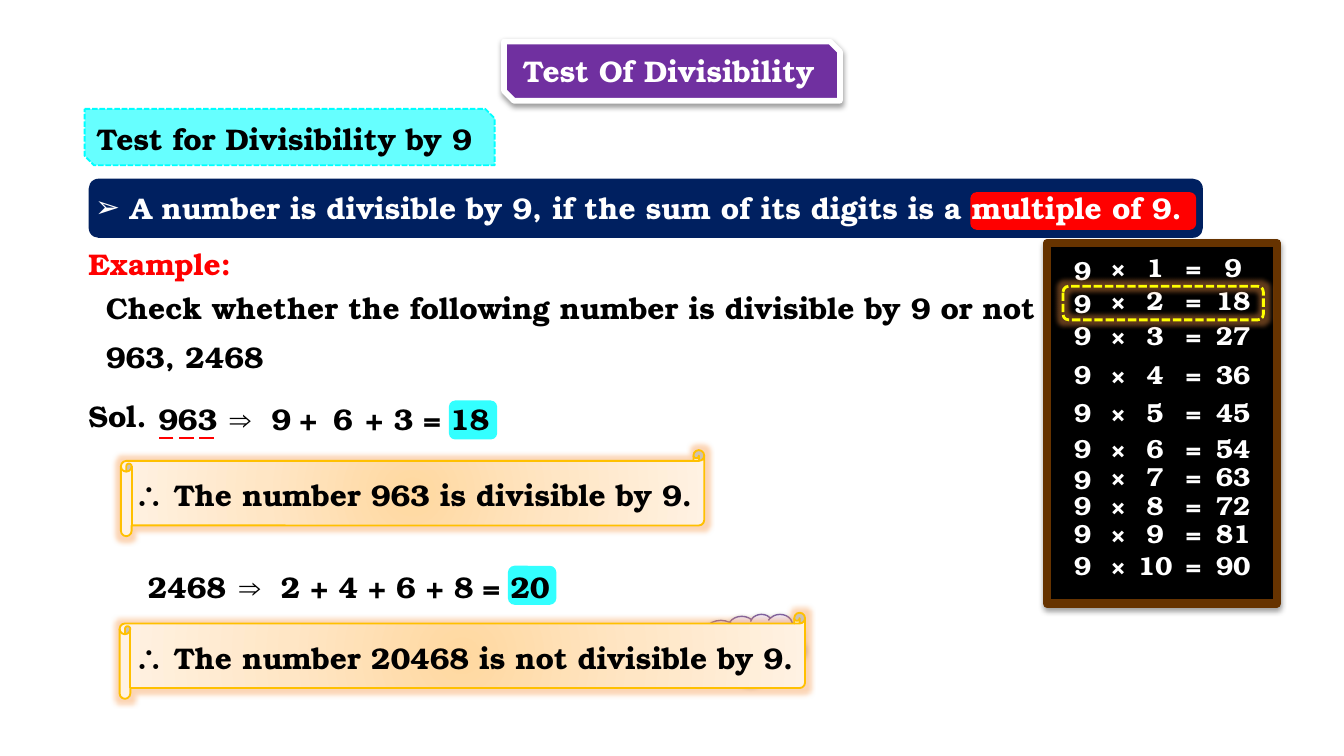
from lxml.etree import SubElement
from pptx import Presentation
from pptx.dml.color import RGBColor as RGB
from pptx.enum.dml import MSO_LINE as Dash
from pptx.enum.shapes import MSO_CONNECTOR as Conn, MSO_SHAPE as Shape
from pptx.enum.text import MSO_ANCHOR as Anchor, MSO_AUTO_SIZE as Fit, PP_ALIGN as Align
from pptx.oxml import parse_xml
from pptx.oxml.ns import nsdecls, qn
from pptx.util import Inches, Pt

CELL = 0.1
COLS, ROWS = 100, 56.25
FONT = "TeX Gyre Bonum"
C = {
    "black": "000000", "white": "FFFFFF", "red": "FF0000", "navy": "002060",
    "purple": "7030A0", "cyan": "66FFFF", "cyan_line": "00FFFF", "mark": "33FFFF",
    "gold": "FFC000", "yellow": "FFFF00", "wood": "663300", "glow": "F79646",
    "cloud_line": "7D60A0",
}
SCROLL_STOPS = [(0, "FFD8A0"), (50, "FFE6C5"), (100, "FFF2E3")]
CLOUD_STOPS = [(0, "C9B5E8"), (35, "D8CBEE"), (100, "F0EAF9")]
RADIAL = '<a:path path="circle"><a:fillToRect l="50000" t="50000" r="50000" b="50000"/></a:path>'
UPWARD = '<a:lin ang="16200000" scaled="0"/>'


def grid(*cells):
    return [Inches(n * CELL) for n in cells]


def add_effect(sp, tag, color, alpha, **attrs):
    fx = sp.element.spPr.find(qn("a:effectLst"))
    el = SubElement(fx, qn(tag), {k: str(v) for k, v in attrs.items()})
    clr = SubElement(el, qn("a:srgbClr"), val=C[color])
    SubElement(clr, qn("a:alpha"), val=str(alpha * 1000))


def add_glow(sp):
    add_effect(sp, "a:glow", "glow", 40, rad=Pt(5))


def add_shadow(sp):
    add_effect(sp, "a:outerShdw", "black", 38, blurRad=Pt(3.1), dist=Pt(1.6),
               dir=5400000, rotWithShape=0)


def add_box(s, kind, box, fill=None, line=None, width=1, dash=None):
    sp = s.shapes.add_shape(kind, *grid(*box))
    if fill:
        sp.fill.solid()
        sp.fill.fore_color.rgb = RGB.from_string(C[fill])
    else:
        sp.fill.background()
    if line:
        sp.line.color.rgb = RGB.from_string(C[line])
        sp.line.width = Pt(width)
        if dash:
            sp.line.dash_style = dash
    else:
        sp.line.fill.background()
    sp.shadow.inherit = False
    return sp


def set_gradient(sp, stops, direction):
    gs = "".join(f'<a:gs pos="{pos * 1000}"><a:srgbClr val="{c}"/></a:gs>' for pos, c in stops)
    xml = f'<a:gradFill {nsdecls("a")} rotWithShape="1"><a:gsLst>{gs}</a:gsLst>{direction}</a:gradFill>'
    spPr = sp.element.spPr
    spPr.replace(spPr.find(qn("a:noFill")), parse_xml(xml))


def set_text(sp, text, color, size=16, font=FONT, align=Align.LEFT, wrap=True):
    tf = sp.text_frame
    tf.text = text
    tf.word_wrap = wrap
    tf.auto_size = Fit.SHAPE_TO_FIT_TEXT
    tf.vertical_anchor = Anchor.TOP
    p = tf.paragraphs[0]
    p.alignment = align
    f = p.runs[0].font
    f.name, f.size, f.bold = font, Pt(size), True
    f.color.rgb = RGB.from_string(C[color])


def add_text(s, x, y, w, text, color="black", h=3.7, **style):
    sp = s.shapes.add_textbox(*grid(x, y, w, h))
    set_text(sp, text, color, **style)
    return sp


def add_equation(s, y, tokens):
    for x, w, text in tokens:
        add_text(s, x, y, w, text, wrap=False, font="Arial" if text == "⇒" else FONT)


def add_mark(s, x, y):
    add_box(s, Shape.ROUNDED_RECTANGLE, (x, y, 3.6, 2.9), "mark")


def add_scroll(s, x, y, w, text):
    sp = add_box(s, Shape.HORIZONTAL_SCROLL, (x, y, w, 6.4), line="gold")
    set_gradient(sp, SCROLL_STOPS, RADIAL)
    add_glow(sp)
    add_text(s, 9, y + 1.5, w + 1, text)


def add_cloud(s):
    sp = add_box(s, Shape.CLOUD_CALLOUT, (51.6, 45.7, 8.3, 5.1), line="cloud_line", width=0.75)
    sp.adjustments[0], sp.adjustments[1] = -0.36, -0.22
    set_gradient(sp, CLOUD_STOPS, UPWARD)
    add_shadow(sp)


def add_underlines(s):
    for i in range(3):
        x = 11.8 + 1.5 * i
        ln = s.shapes.add_connector(Conn.STRAIGHT, *grid(x + 1.1, 32.6, x, 32.6))
        ln.line.color.rgb = RGB.from_string(C["red"])
        ln.line.width = Pt(0.75)
        SubElement(ln.element.spPr, qn("a:effectLst"))


def add_times_table(s):
    board = add_box(s, Shape.ROUNDED_RECTANGLE, (77.9, 18.1, 17.1, 26.8), "black", "wood", 4.5)
    board.adjustments[0] = 0
    add_shadow(board)
    tops = [18.2, 20.7, 23.3, 26.2, 29, 31.7, 33.8, 35.9, 38, 40.4]
    lowered = (1, 2, 7)
    for n, y in enumerate(tops, 1):
        cells = [(77.9, 5.3, "9"), (81.1, 4.2, "×"), (82.8, 6.3, str(n)),
                 (87.2, 3.2, "="), (88.5, 6.5, str(9 * n))]
        for i, (x, w, text) in enumerate(cells):
            dy = 0.2 if i == 0 and n in lowered else 0
            add_text(s, x, y + dy, w, text, "white", h=3.4, size=14,
                     align=Align.CENTER, wrap=text != "=")
    add_glow(add_box(s, Shape.ROUNDED_RECTANGLE, (79.1, 21.3, 14.9, 2.5),
                     line="yellow", width=1.5, dash=Dash.SQUARE_DOT))


def add_title(s):
    add_shadow(add_box(s, Shape.SNIP_2_DIAG_RECTANGLE, (37.5, 3.1, 25, 4.4), "purple", "white", 3))
    title = s.shapes.title
    title.left, title.top, title.width, title.height = grid(37.9, 3.4, 24.5, 3.7)
    set_text(title, "Test Of Divisibility", "white")
    title.element.getparent().append(title.element)


def add_rule(s):
    add_box(s, Shape.ROUNDED_RECTANGLE, (6.6, 13.3, 82.9, 4.4), "navy")
    add_box(s, Shape.ROUNDED_RECTANGLE, (72.2, 14.3, 16.8, 2.8), "red")
    sp = add_text(s, 6.1, 13.6, 84.7,
                  " A number is divisible by 9, if the sum of its digits is a multiple of 9.", "white")
    pPr = sp.element.find(".//" + qn("a:pPr"))
    SubElement(pPr, qn("a:buFont"), typeface="Arial")
    SubElement(pPr, qn("a:buChar"), char="➢")


def main():
    prs = Presentation()
    prs.slide_width, prs.slide_height = grid(COLS, ROWS)
    s = prs.slides.add_slide(prs.slide_layouts[5])

    add_mark(s, 37.8, 42.1)
    add_equation(s, 41.8, [(10, 8, "2468"), (16.8, 4.2, "⇒"), (19.9, 16.7, "2 + 4 + 6 + 8"),
                           (34.9, 7.1, "= 20")])
    add_cloud(s)
    add_scroll(s, 8.9, 45.6, 51, "∴ The number 20468 is not divisible by 9.")
    add_scroll(s, 9, 33.5, 43.4, "∴ The number 963 is divisible by 9.")

    add_text(s, 5.6, 17.8, 12.8, "Example:", "red", wrap=False)
    add_text(s, 6.9, 21.1, 72.3, "Check whether the following number is divisible by 9 or not", wrap=False)
    add_text(s, 6.9, 24.7, 14, "963, 2468", wrap=False)
    add_underlines(s)
    add_text(s, 5.6, 29.1, 6.4, "Sol.", wrap=False)
    add_mark(s, 33.4, 29.8)
    add_equation(s, 29.3, [(10.8, 6.5, "963"), (16.1, 4.2, "⇒"), (19.2, 3.5, "9"), (21.3, 3.4, "+"),
                           (23.8, 3.5, "6"), (26.2, 3.4, "+"), (28.3, 3.5, "3"), (30.5, 3.4, "="),
                           (32.5, 5, "18")])
    add_times_table(s)

    add_title(s)
    add_box(s, Shape.SNIP_2_DIAG_RECTANGLE, (6.3, 8.1, 30.5, 4.2), "cyan", "cyan_line", 1, Dash.SQUARE_DOT)
    add_text(s, 6.2, 8.5, 32.3, "Test for Divisibility by 9")
    add_rule(s)
    prs.save("out.pptx")


if __name__ == "__main__":
    main()
